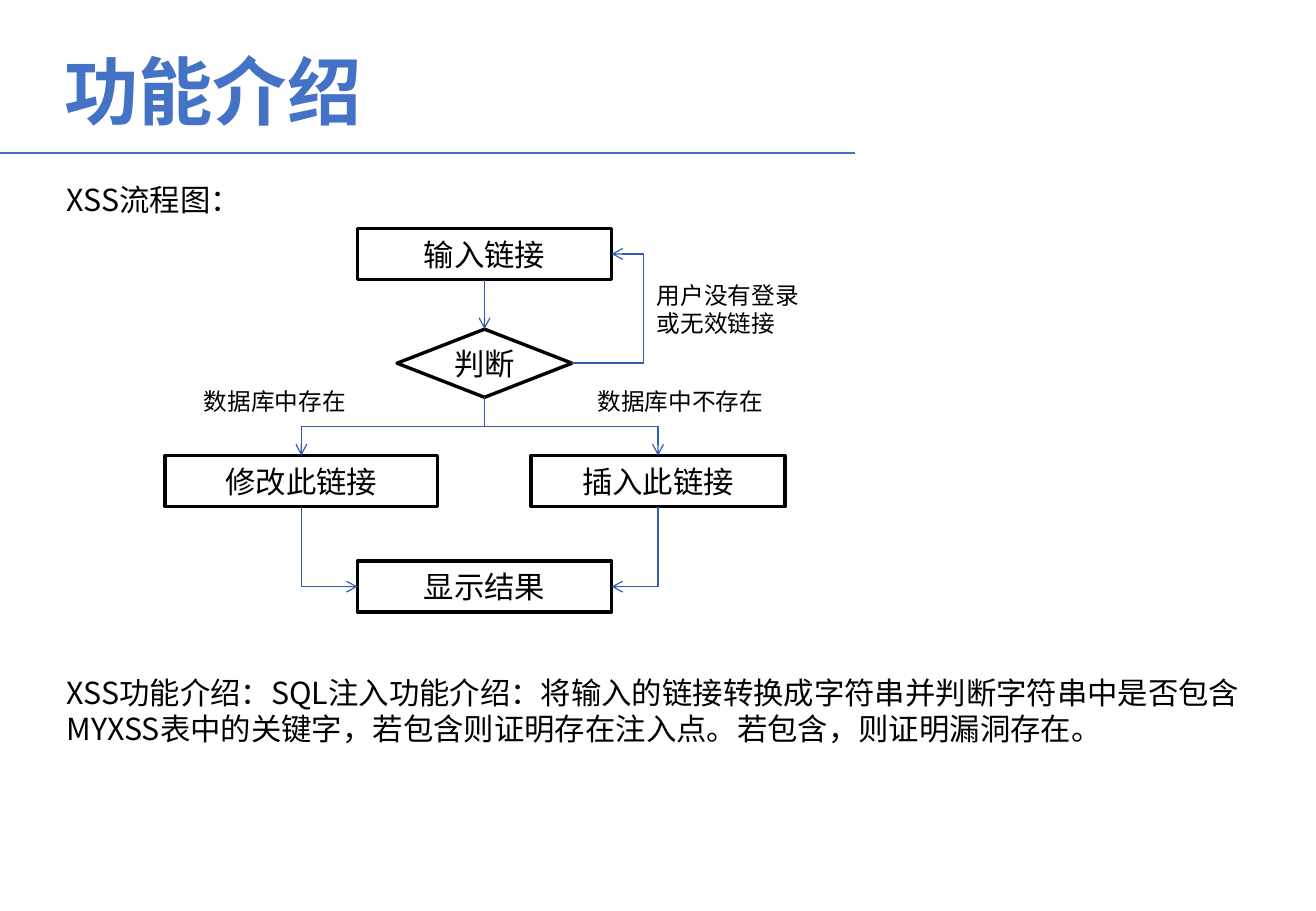
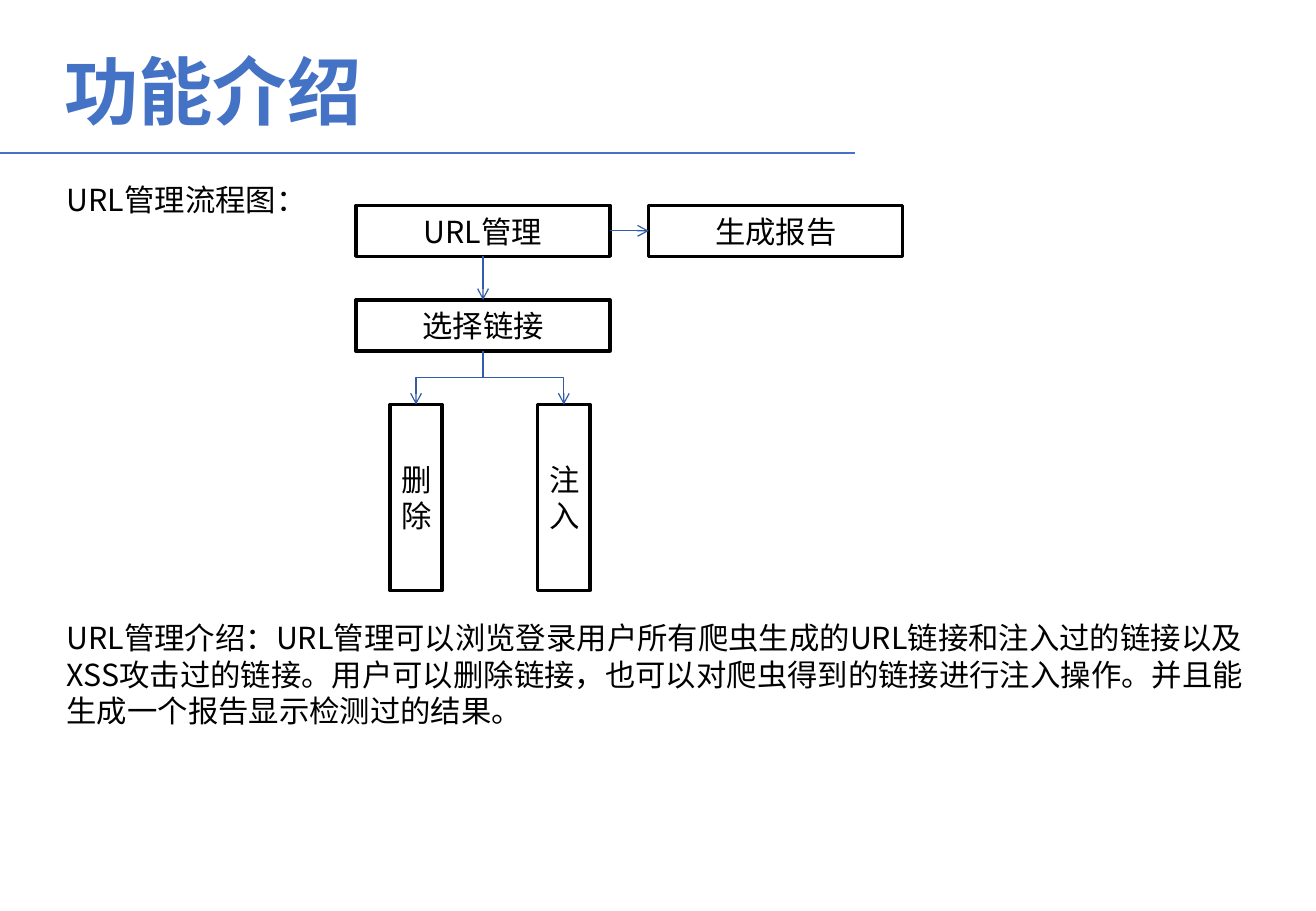
from lxml.etree import SubElement
from pptx import Presentation
from pptx.dml.color import RGBColor
from pptx.enum.shapes import MSO_CONNECTOR as Wire, MSO_SHAPE as Form
from pptx.enum.text import MSO_ANCHOR as Anchor, MSO_AUTO_SIZE as Fit, PP_ALIGN as Align
from pptx.oxml.ns import qn
from pptx.util import Pt

BLUE = RGBColor(0x44, 0x72, 0xC4)
NAVY = RGBColor(0x32, 0x5C, 0xA9)
BLACK = RGBColor(0, 0, 0)
WHITE = RGBColor(255, 255, 255)
FONT = "Noto Sans CJK SC"
TOP, LEFT, BASE, RIGHT = range(4)
WIDE, HIGH = 150.5, 30.3


def write(frame, lines, size, color=BLACK, bold=False, align=Align.LEFT):
    frame.word_wrap = True
    frame.auto_size = Fit.NONE
    for i, line in enumerate(lines):
        para = frame.add_paragraph() if i else frame.paragraphs[0]
        para.alignment = align
        run = para.add_run()
        run.text = line
        font = run.font
        font.name, font.size, font.bold = FONT, Pt(size), bold
        font.color.rgb = color
        SubElement(font._element, qn("a:ea"), typeface=FONT)


def wire(shapes, kind, ends, color, width):
    line = shapes.add_connector(kind, *[Pt(n) for n in ends])
    line.line.color.rgb = color
    line.line.width = Pt(width)
    SubElement(line.element.spPr, qn("a:effectLst"))
    return line


pages = [
    {
        "notes": [
            (32.4, 103.7, 162, 28.8, 18, ["XSS流程图："]),
            (382.3, 162.7, 100.8, 41, 14, ["用户没有登录或无效链接"]),
            (113.8, 226.1, 103, 24.5, 14, ["数据库中存在"]),
            (347, 226.1, 118, 24.5, 14, ["数据库中不存在"]),
            (32.4, 396, 711.4, 51, 18, [
                "XSS功能介绍：SQL注入功能介绍：将输入的链接转换成字符串并判断字符串中是否包含",
                "MYXSS表中的关键字，若包含则证明存在注入点。若包含，则证明漏洞存在。"]),
        ],
        "nodes": {
            "输入链接": (287.2, 135.4, WIDE, HIGH, Form.RECTANGLE),
            "判断": (287.2, 195.1, 103.7, 40.4, Form.DIAMOND),
            "修改此链接": (178.6, 270, 161.3, HIGH, Form.RECTANGLE),
            "插入此链接": (390, 270, WIDE, HIGH, Form.RECTANGLE),
            "显示结果": (287.2, 332.6, WIDE, HIGH, Form.RECTANGLE),
        },
        "links": [
            ("输入链接", BASE, "判断", TOP),
            ("判断", RIGHT, "输入链接", RIGHT),
            ("判断", BASE, "修改此链接", TOP),
            ("判断", BASE, "插入此链接", TOP),
            ("修改此链接", BASE, "显示结果", LEFT),
            ("插入此链接", BASE, "显示结果", RIGHT),
        ],
    },
    {
        "notes": [
            (32.4, 103.7, 162, 28.8, 18, ["URL管理流程图："]),
            (32.4, 363.6, 712.8, 72.7, 18, [
                "URL管理介绍：URL管理可以浏览登录用户所有爬虫生成的URL链接和注入过的链接以及",
                "XSS攻击过的链接。用户可以删除链接，也可以对爬虫得到的链接进行注入操作。并且能",
                "生成一个报告显示检测过的结果。"]),
        ],
        "nodes": {
            "URL管理": (286.3, 121.7, WIDE, HIGH, Form.RECTANGLE),
            "生成报告": (459.8, 121.7, WIDE, HIGH, Form.RECTANGLE),
            "选择链接": (286.3, 177.8, WIDE, HIGH, Form.RECTANGLE),
            "删除": (246.6, 239.8, 31, 110.2, Form.RECTANGLE),
            "注入": (334.2, 239.8, 31, 110.2, Form.RECTANGLE),
        },
        "links": [
            ("URL管理", RIGHT, "生成报告", LEFT),
            ("URL管理", BASE, "选择链接", TOP),
            ("选择链接", BASE, "删除", TOP),
            ("选择链接", BASE, "注入", TOP),
        ],
    },
]

deck = Presentation()
deck.slide_width, deck.slide_height = Pt(780), Pt(540)
plan = deck.slide_layouts.get_by_name("Title Only")

for page in pages:
    slide = deck.slides.add_slide(plan)
    shapes = slide.shapes
    wire(shapes, Wire.STRAIGHT, (0, 90.7, 507, 90.7), BLUE, 1.25)
    title = shapes.title
    title.left, title.top, title.width, title.height = Pt(31), Pt(23), Pt(626.4), Pt(51)
    write(title.text_frame, ["功能介绍"], 44, BLUE, True)
    title.text_frame.vertical_anchor = Anchor.TOP

    for x, y, w, h, size, lines in page["notes"]:
        note = shapes.add_textbox(Pt(x), Pt(y), Pt(w), Pt(h))
        write(note.text_frame, lines, size)

    nodes = {}
    for name, (mid, y, w, h, form) in page["nodes"].items():
        node = shapes.add_shape(form, Pt(mid - w / 2), Pt(y), Pt(w), Pt(h))
        node.shadow.inherit = False
        node.fill.solid()
        node.fill.fore_color.rgb = WHITE
        node.line.color.rgb = BLACK
        node.line.width = Pt(2)
        write(node.text_frame, [name], 18, align=Align.CENTER)
        node.text_frame.vertical_anchor = Anchor.MIDDLE
        nodes[name] = node

    for start, out, stop, into in page["links"]:
        mids = [page["nodes"][start][0], page["nodes"][stop][0]]
        bent = out == into or (out == BASE and mids[0] != mids[1])
        link = wire(shapes, Wire.ELBOW if bent else Wire.STRAIGHT, (0, 0, 0, 0), NAVY, 0.75)
        link.begin_connect(nodes[start], out)
        link.end_connect(nodes[stop], into)
        props = link.element.spPr
        SubElement(props.find(qn("a:ln")), qn("a:tailEnd"), type="arrow")
        frame, shape = props.find(qn("a:xfrm")), props.find(qn("a:prstGeom"))
        if out == into:
            ratio = Pt(42.5) / link.width
            SubElement(shape.find(qn("a:avLst")), qn("a:gd"), name="adj1",
                       fmla=f"val {round(ratio * 100000)}")
        elif bent:
            east = link.end_x > link.begin_x
            x, y, w, h = link.left, link.top, link.width, link.height
            link.left, link.top = x + (w - h) // 2, y + (h - w) // 2
            link.width, link.height = h, w
            frame.set("rot", "5400000")
            frame.set("flipH", "0")
            frame.set("flipV", "1" if east else "0")
            if into != TOP:
                shape.set("prst", "bentConnector2")

deck.save("out.pptx")
